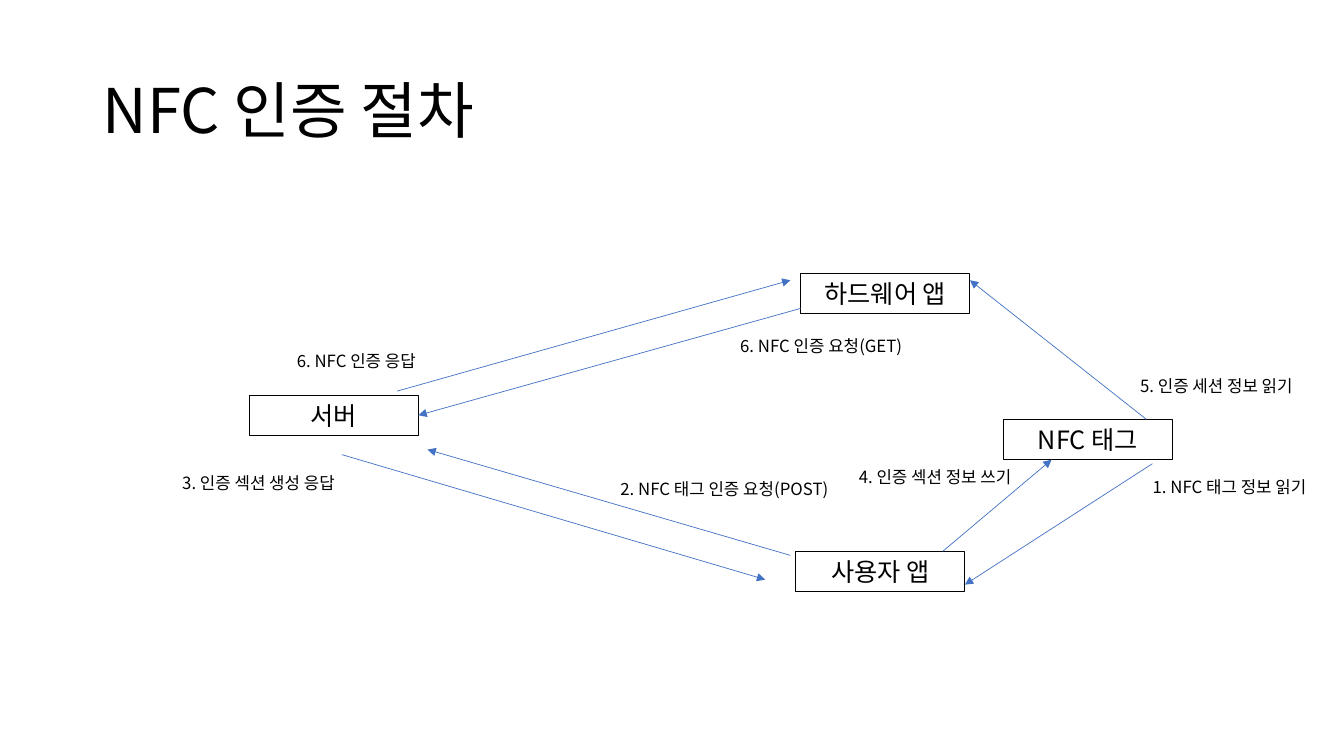
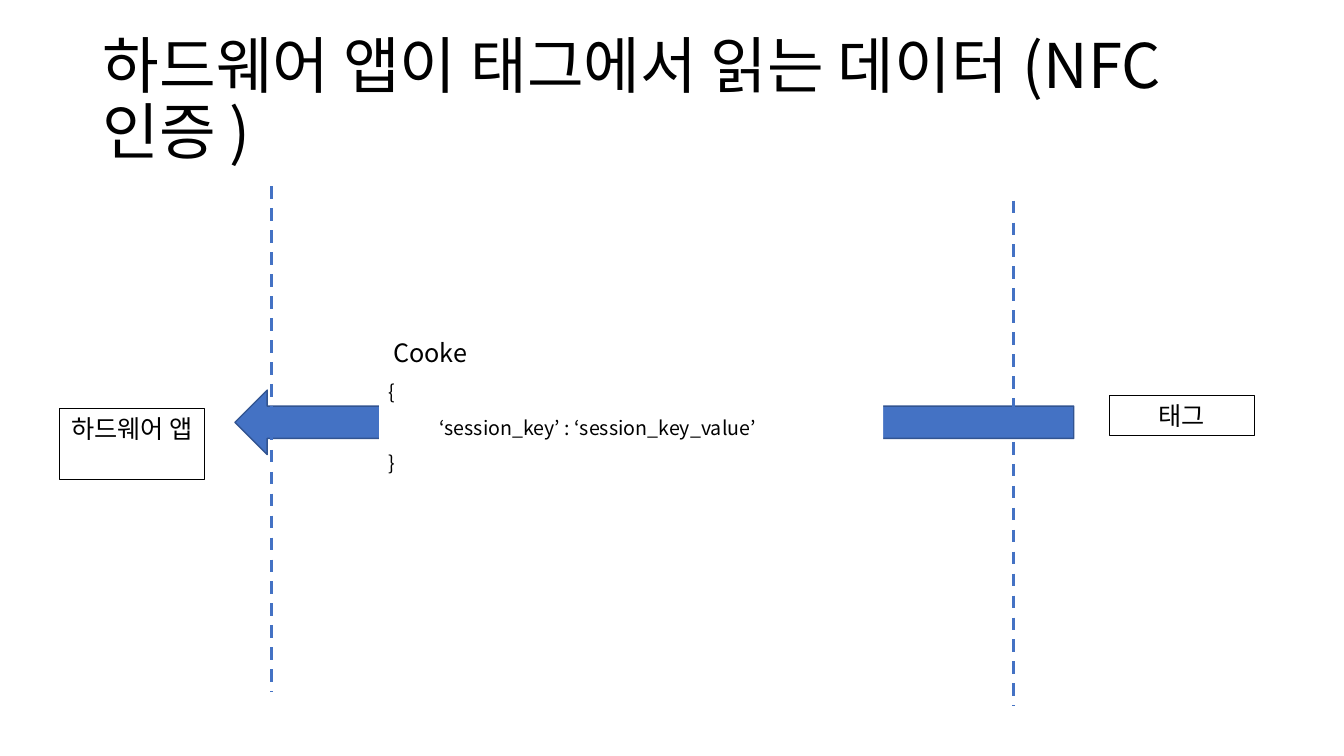
from dataclasses import dataclass

from lxml import etree
from pptx import Presentation
from pptx.dml.color import RGBColor
from pptx.enum import dml, shapes, text
from pptx.oxml import ns
from pptx.util import Inches, Pt


@dataclass(frozen=True)
class Theme:
    font: str = "Noto Sans CJK KR"
    ink: RGBColor = RGBColor(0, 0, 0)
    paper: RGBColor = RGBColor(255, 255, 255)
    accent: RGBColor = RGBColor(0x44, 0x72, 0xC4)
    accent_edge: RGBColor = RGBColor(0x32, 0x54, 0x91)
    title_size: int = 44
    node_size: int = 18
    code_size: int = 14
    label_size: int = 12
    node_line: float = 0.75
    flow_line: float = 0.5
    block_line: float = 1
    lifeline: float = 2.25


class Deck:
    def __init__(self, theme):
        self.theme = theme
        self.prs = Presentation()
        self.prs.slide_width = Inches(13.33)
        self.prs.slide_height = Inches(7.5)
        self.slide = None

    def new_slide(self, heading, top):
        self.slide = self.prs.slides.add_slide(self.prs.slide_layouts[6])
        box = self.text_box(0.92, top, 11.5, 1.45, heading, self.theme.title_size)
        box.text_frame.vertical_anchor = text.MSO_ANCHOR.MIDDLE
        box.text_frame.paragraphs[0].line_spacing = 0.9

    def style_text(self, shape, content, size, align):
        frame = shape.text_frame
        frame.word_wrap = True
        frame.vertical_anchor = text.MSO_ANCHOR.TOP
        frame.text = content
        for paragraph in frame.paragraphs:
            paragraph.alignment = align
            for run in paragraph.runs:
                run.font.name = self.theme.font
                run.font.size = Pt(size)
                run.font.color.rgb = self.theme.ink
                east_asian = etree.Element(ns.qn("a:ea"), typeface=self.theme.font)
                run.font._element.find(ns.qn("a:latin")).addnext(east_asian)

    def text_box(self, x, y, w, h, content, size, align=text.PP_ALIGN.LEFT):
        box = self.slide.shapes.add_textbox(Inches(x), Inches(y), Inches(w), Inches(h))
        self.style_text(box, content, size, align)
        return box

    def label(self, x, y, content, height=0.3):
        self.text_box(x, y, 2.27, height, content, self.theme.label_size, text.PP_ALIGN.CENTER)

    def shape(self, preset, x, y, w, h, fill=None, edge=None, weight=1):
        shape = self.slide.shapes.add_shape(preset, Inches(x), Inches(y), Inches(w), Inches(h))
        shape.shadow.inherit = False
        if fill is None:
            shape.fill.background()
        else:
            shape.fill.solid()
            shape.fill.fore_color.rgb = fill
        if edge is None:
            shape.line.fill.background()
        else:
            shape.line.color.rgb = edge
            shape.line.width = Pt(weight)
        return shape

    def node(self, x, y, content, width=1.68, height=0.4):
        node = self.shape(shapes.MSO_SHAPE.RECTANGLE, x, y, width, height,
                          edge=self.theme.ink, weight=self.theme.node_line)
        self.style_text(node, content, self.theme.node_size, text.PP_ALIGN.CENTER)
        return node

    def block_arrow(self, x, y, w, h):
        self.shape(shapes.MSO_SHAPE.LEFT_ARROW, x, y, w, h, self.theme.accent,
                   self.theme.accent_edge, self.theme.block_line)

    def code(self, x, y, w, h, content):
        panel = self.shape(shapes.MSO_SHAPE.RECTANGLE, x, y, w, h, self.theme.paper)
        self.style_text(panel, content, self.theme.code_size, text.PP_ALIGN.LEFT)
        for index, paragraph in enumerate(panel.text_frame.paragraphs):
            paragraph.line_spacing = 0.9
            paragraph.space_before = Pt(10 if index else 0)

    def line(self, start, end, weight):
        line = self.slide.shapes.add_connector(
            shapes.MSO_CONNECTOR.STRAIGHT, *(Inches(v) for v in (*start, *end)))
        line.line.color.rgb = self.theme.accent
        line.line.width = Pt(weight)
        etree.SubElement(line._element.spPr, ns.qn("a:effectLst"))
        return line

    def flow(self, start, end):
        arrow = self.line(start, end, self.theme.flow_line)
        outline = arrow._element.spPr.find(ns.qn("a:ln"))
        etree.SubElement(outline, ns.qn("a:tailEnd"), type="triangle")
        return arrow

    def lifeline(self, x, top):
        line = self.line((x, top), (x, top + 5.01), self.theme.lifeline)
        line.line.dash_style = dml.MSO_LINE.DASH


def build_procedure(deck):
    deck.new_slide("NFC 인증 절차", 0.4)
    server = deck.node(2.47, 3.92, "서버")
    deck.node(7.89, 5.47, "사용자 앱")
    deck.node(7.94, 2.71, "하드웨어 앱")
    deck.node(9.95, 4.16, "NFC 태그")

    deck.label(11.06, 4.68, "1. NFC 태그 정보 읽기")
    deck.label(6.05, 4.7, "2. NFC 태그 인증 요청(POST)", 0.5)
    deck.label(1.43, 4.64, "3. 인증 섹션 생성 응답")
    deck.label(8.14, 4.58, "4. 인증 섹션 정보 쓰기")
    deck.label(10.93, 3.68, "5. 인증 세션 정보 읽기")
    deck.label(7.01, 3.28, "6. NFC 인증 요청(GET)")
    deck.label(2.4, 3.43, "6. NFC 인증 응답")

    auth_request = deck.flow((7.94, 3.06), (4.15, 4.12))
    auth_request.end_connect(server, 3)
    for start, end in (
        ((3.94, 3.88), (7.84, 2.78)),
        ((7.84, 5.51), (4.24, 4.46)),
        ((3.39, 4.51), (7.59, 5.75)),
        ((9.35, 5.47), (10.43, 4.56)),
        ((11.43, 4.6), (9.57, 5.8)),
        ((11.37, 4.16), (9.62, 2.78)),
    ):
        deck.flow(start, end)


def build_tag_data(deck):
    deck.new_slide("하드웨어 앱이 태그에서 읽는 데이터 (NFC 인증 )", 0.28)
    deck.block_arrow(2.33, 3.87, 8.32, 0.64)
    deck.node(0.59, 4.05, "하드웨어 앱", 1.44, 0.71)
    deck.node(11, 3.92, "태그", 1.44)
    deck.lifeline(10.05, 1.99)
    deck.lifeline(2.69, 1.85)
    deck.code(3.76, 3.75, 5, 1.15, "{\n\t‘session_key’ : ‘session_key_value’\n}")
    deck.text_box(3.8, 3.3, 2.36, 0.4, "Cooke", deck.theme.node_size)


def main():
    deck = Deck(Theme())
    build_procedure(deck)
    build_tag_data(deck)
    deck.prs.save("out.pptx")


if __name__ == "__main__":
    main()
